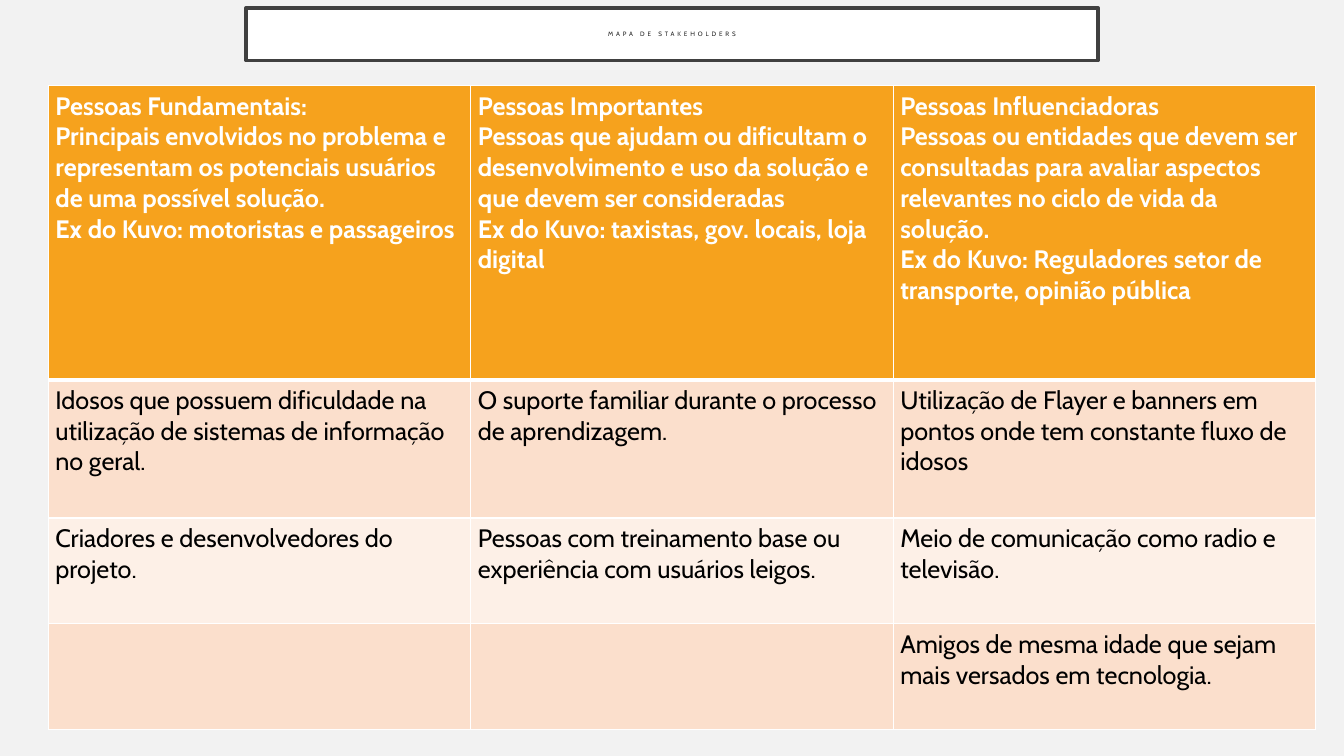
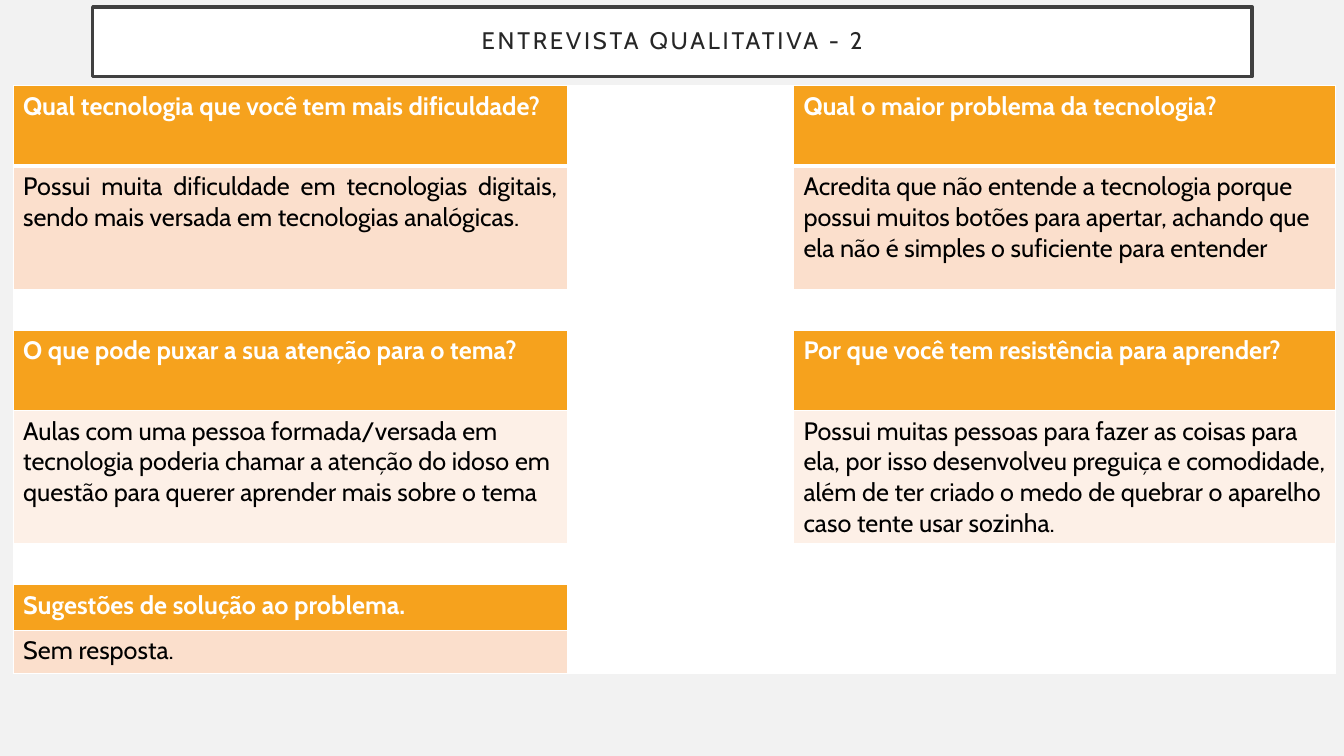
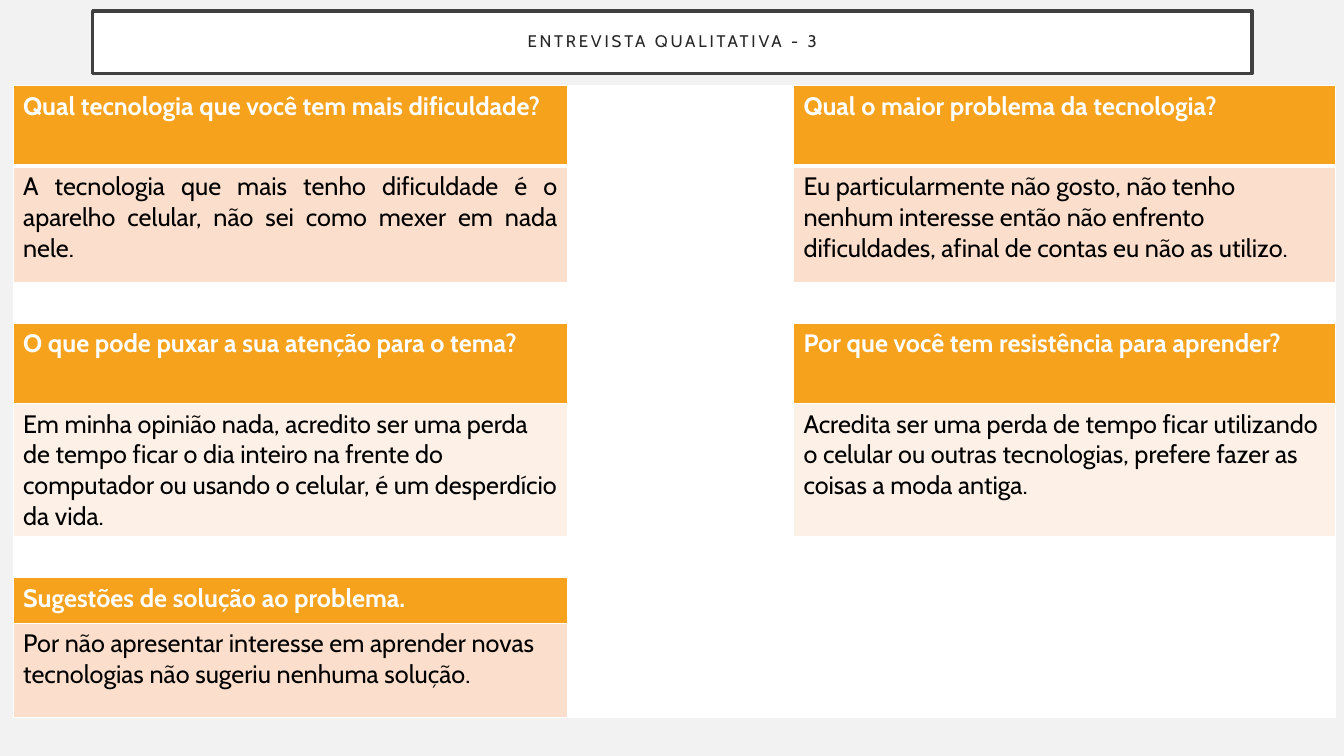
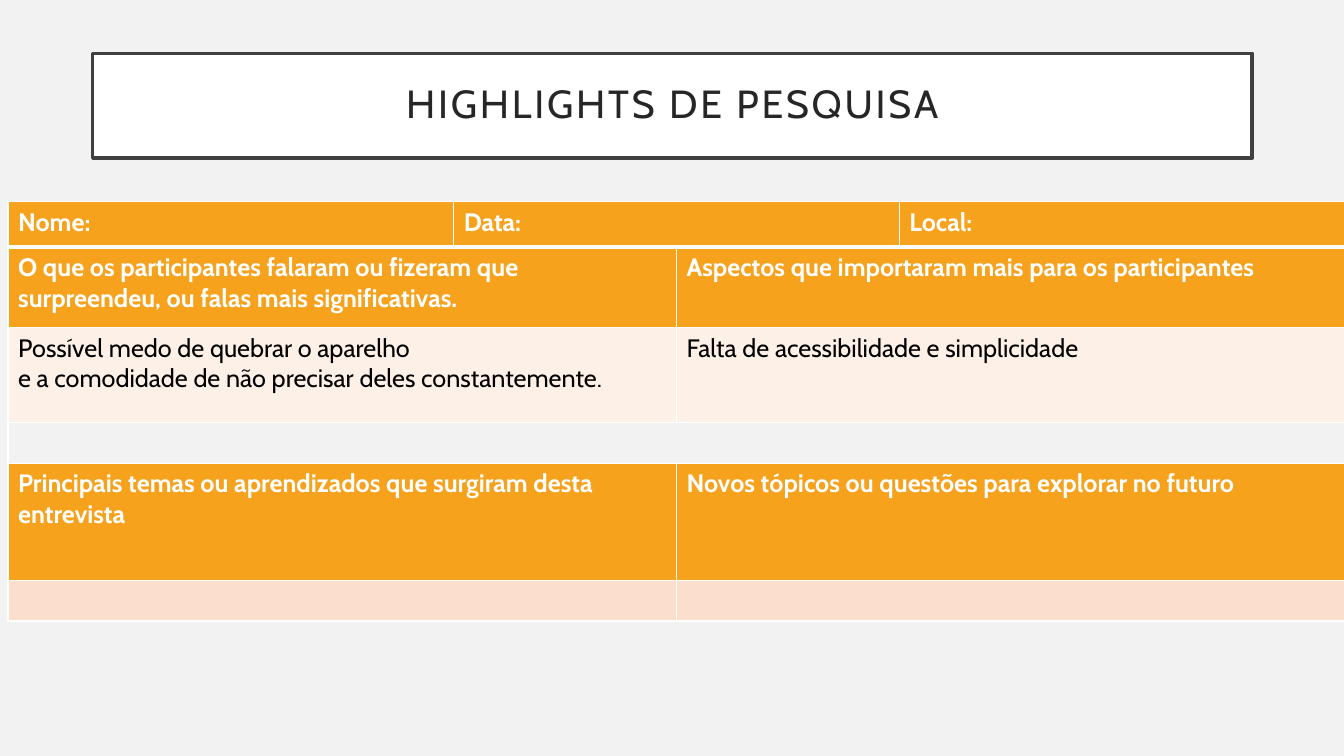
import pptx
import pptx.dml.color
import pptx.enum.shapes
import pptx.enum.text
import pptx.oxml
import pptx.oxml.ns
import pptx.util

Inches, Pt = pptx.util.Inches, pptx.util.Pt
RGB = pptx.dml.color.RGBColor.from_string
ALIGN = pptx.enum.text.PP_ALIGN

THEME = {
    "font": "Cabin",
    "background": "F2F2F2",
    "white": "FFFFFF",
    "frame": "404040",
    "title": "262626",
    "frame_width": 2.5,
    "tracking": 200,
    "body_size": 18,
    "border": 0.96,
    "header_border": 3,
    "rows": {
        "head": {"fill": "F6A21D", "color": "FFFFFF", "bold": True},
        "dark": {"fill": "FBDFCC", "color": "000000", "bold": False},
        "light": {"fill": "FDF0E7", "color": "000000", "bold": False},
        "gap": {"fill": "FFFFFF", "color": "000000", "bold": False},
        "open": {"fill": None, "color": "000000", "bold": False},
    },
}

MERGE = "<"

STAKEHOLDERS = [
    ("head", 2.92, [
        "Pessoas Fundamentais:\n"
        "Principais envolvidos no problema e representam os potenciais usuários de uma possível solução.\n"
        "Ex do Kuvo: motoristas e passageiros",
        "Pessoas Importantes\n"
        "Pessoas que ajudam ou dificultam o desenvolvimento e uso da solução e que devem ser consideradas\n"
        "Ex do Kuvo: taxistas, gov. locais, loja digital",
        "Pessoas Influenciadoras\n"
        "Pessoas ou entidades que devem ser consultadas para avaliar aspectos relevantes no ciclo de vida da solução.\n"
        "Ex do Kuvo: Reguladores setor de transporte, opinião pública",
    ]),
    ("dark", 1.37, [
        "Idosos que possuem dificuldade na utilização de sistemas de informação no geral.",
        "O suporte familiar durante o processo de aprendizagem.",
        "Utilização de Flayer e banners em pontos onde tem constante fluxo de idosos",
    ]),
    ("light", 1.05, [
        "Criadores e desenvolvedores do projeto.",
        "Pessoas com treinamento base ou experiência com usuários leigos.",
        "Meio de comunicação como radio e televisão.",
    ]),
    ("dark", 1.05, ["", "", "Amigos de mesma idade que sejam mais versados em tecnologia."]),
]

QUESTIONS = [
    ("Qual tecnologia que você tem mais dificuldade?", "Qual o maior problema da tecnologia?"),
    ("O que pode puxar a sua atenção para o tema?", "Por que você tem resistência para aprender?"),
    ("Sugestões de solução ao problema.", None),
]
QUESTION_HEIGHTS = [0.8, 0.8, 0.45]
ANSWER_KINDS = ["dark", "light", "dark"]
GAP_HEIGHT = 0.38

ANSWERS_2 = [
    (1.22, "Possui muita dificuldade em tecnologias digitais, sendo mais versada em tecnologias analógicas.",
     "Acredita que não entende a tecnologia porque possui muitos botões para apertar, "
     "achando que ela não é simples o suficiente para entender"),
    (1.22, "Aulas com uma pessoa formada/versada em tecnologia poderia chamar a atenção do idoso "
     "em questão para querer aprender mais sobre o tema",
     "Possui muitas pessoas para fazer as coisas para ela, por isso desenvolveu preguiça e comodidade, "
     "além de ter criado o medo de quebrar o aparelho caso tente usar sozinha."),
    (0.43, "Sem resposta.", None),
]
ANSWERS_3 = [
    (1.15, "A tecnologia que mais tenho dificuldade é o aparelho celular, não sei como mexer em nada nele.",
     "Eu particularmente não gosto, não tenho nenhum interesse então não enfrento dificuldades, "
     "afinal de contas eu não as utilizo."),
    (1.22, "Em minha opinião nada, acredito ser uma perda de tempo ficar o dia inteiro na frente do "
     "computador ou usando o celular, é um desperdício da vida.",
     "Acredita ser uma perda de tempo ficar utilizando o celular ou outras tecnologias, "
     "prefere fazer as coisas a moda antiga."),
    (0.94, "Por não apresentar interesse em aprender novas tecnologias não sugeriu nenhuma solução.", None),
]

HIGHLIGHTS = [
    ("head", 0.45, ["Nome:", "Data:", MERGE, "Local:"]),
    ("head", 0.8, [
        "O que os participantes falaram ou fizeram que surpreendeu, ou falas mais significativas.", MERGE,
        "Aspectos que importaram mais para os participantes", MERGE,
    ]),
    ("light", 0.94, [
        "Possível medo de quebrar o aparelho\ne a comodidade de não precisar deles constantemente.", MERGE,
        "Falta de acessibilidade e simplicidade", MERGE,
    ]),
    ("open", 0.38, ["", MERGE, MERGE, MERGE]),
    ("head", 1.16, [
        "Principais temas ou aprendizados que surgiram desta entrevista", MERGE,
        "Novos tópicos ou questões para explorar no futuro", MERGE,
    ]),
    ("dark", 0.38, ["", MERGE, "", MERGE]),
]


def interview_rows(answers):
    rows = []
    for i, (height, left, right) in enumerate(answers):
        if i:
            rows.append(("gap", GAP_HEIGHT, [None] * 4))
        question_left, question_right = QUESTIONS[i]
        rows.append(("head", QUESTION_HEIGHTS[i], [question_left, None, None, question_right]))
        rows.append((ANSWER_KINDS[i], height, [left, None, None, right]))
    return rows


INTERVIEW = {"at": (0.13, 0.85), "cols": [5.5, 1.06, 1.18, 5.38], "justified": (1, 0)}

SLIDES = [
    {"title": "MAPA DE STAKEHOLDERS", "frame": (2.44, 0.08, 8.45, 0.52), "size": 4.5,
     "at": (0.48, 0.85), "cols": [4.19] * 3, "rows": STAKEHOLDERS, "inset": 0.07},
    {"title": "ENTREVISTA QUALITATIVA - 2", "frame": (0.92, 0.07, 11.5, 0.69), "size": 17.1,
     "rows": interview_rows(ANSWERS_2), **INTERVIEW},
    {"title": "ENTREVISTA QUALITATIVA - 3", "frame": (0.92, 0.11, 11.5, 0.62), "size": 12,
     "rows": interview_rows(ANSWERS_3), **INTERVIEW},
    {"title": "HIGHLIGHTS DE PESQUISA", "frame": (0.92, 0.53, 11.5, 1.04), "size": 28,
     "at": (0.08, 2), "cols": [4.42, 2.21, 2.21, 4.42], "rows": HIGHLIGHTS},
]


def set_font(font, color, **values):
    for name, value in {"name": THEME["font"], **values}.items():
        setattr(font, name, value)
    font.color.rgb = RGB(color)


def add_title(s, text, frame, size):
    sp = s.shapes.add_shape(pptx.enum.shapes.MSO_SHAPE.RECTANGLE, *map(Inches, frame))
    sp.shadow.inherit = False
    sp.fill.solid()
    sp.fill.fore_color.rgb = RGB(THEME["white"])
    sp.line.color.rgb = RGB(THEME["frame"])
    sp.line.width = Pt(THEME["frame_width"])
    tf = sp.text_frame
    for side in ("left", "top", "right", "bottom"):
        setattr(tf, "margin_" + side, Inches(0.2))
    tf.word_wrap = True
    tf.vertical_anchor = pptx.enum.text.MSO_ANCHOR.MIDDLE
    p = tf.paragraphs[0]
    p.alignment, p.line_spacing = ALIGN.CENTER, 0.9
    r = p.add_run()
    r.text = text
    set_font(r.font, THEME["title"], size=Pt(size))
    r.font._element.set("spc", str(THEME["tracking"]))


def set_borders(cell, row):
    widths = {side: THEME["border"] for side in ("lnL", "lnR", "lnT", "lnB")}
    if row < 2:
        widths["lnT" if row else "lnB"] = THEME["header_border"]
    for i, (side, width) in enumerate(widths.items()):
        cell._tc.get_or_add_tcPr().insert(i, pptx.oxml.parse_xml(
            f'<a:{side} {pptx.oxml.ns.nsdecls("a")} w="{int(Pt(width))}"><a:solidFill>'
            f'<a:srgbClr val="{THEME["white"]}"/></a:solidFill></a:{side}>'))


def fill_cell(cell, text, look, align, inset):
    color = THEME["white"] if text is None else look["fill"]
    if color:
        cell.fill.solid()
        cell.fill.fore_color.rgb = RGB(color)
    else:
        cell.fill.background()
    cell.margin_left = cell.margin_right = Inches(inset)
    if not text or text == MERGE:
        return
    for i, line in enumerate(text.split("\n")):
        tf = cell.text_frame
        p = tf.add_paragraph() if i else tf.paragraphs[0]
        p.alignment = align
        r = p.add_run()
        r.text = line
        set_font(r.font, look["color"], size=Pt(THEME["body_size"]), bold=look["bold"])


def merge_rows(table, rows):
    for i, (_, _, texts) in enumerate(rows):
        start = 0
        for j in range(1, len(texts) + 1):
            if j == len(texts) or texts[j] != MERGE:
                if j - start > 1:
                    table.cell(i, start).merge(table.cell(i, j - 1))
                start = j


def add_grid(s, at, cols, rows, inset=0.1, justified=None):
    size = (sum(cols), sum(height for _, height, _ in rows))
    table = s.shapes.add_table(len(rows), len(cols), *map(Inches, at + size)).table
    table.first_row = table.horz_banding = False
    for column, width in zip(table.columns, cols):
        column.width = Inches(width)
    for i, (kind, height, texts) in enumerate(rows):
        table.rows[i].height = Inches(height)
        for j, text in enumerate(texts):
            cell = table.cell(i, j)
            align = ALIGN.JUSTIFY if (i, j) == justified else ALIGN.LEFT
            fill_cell(cell, text, THEME["rows"][kind], align, inset)
            set_borders(cell, i)
    merge_rows(table, rows)


def main():
    prs = pptx.Presentation()
    prs.slide_width, prs.slide_height = Inches(13.33), Inches(7.5)
    background = prs.slide_master.background.fill
    background.solid()
    background.fore_color.rgb = RGB(THEME["background"])
    for content in SLIDES:
        s = prs.slides.add_slide(prs.slide_layouts[6])
        grid = dict(content)
        add_title(s, grid.pop("title"), grid.pop("frame"), grid.pop("size"))
        add_grid(s, **grid)
    prs.save("out.pptx")


if __name__ == "__main__":
    main()
